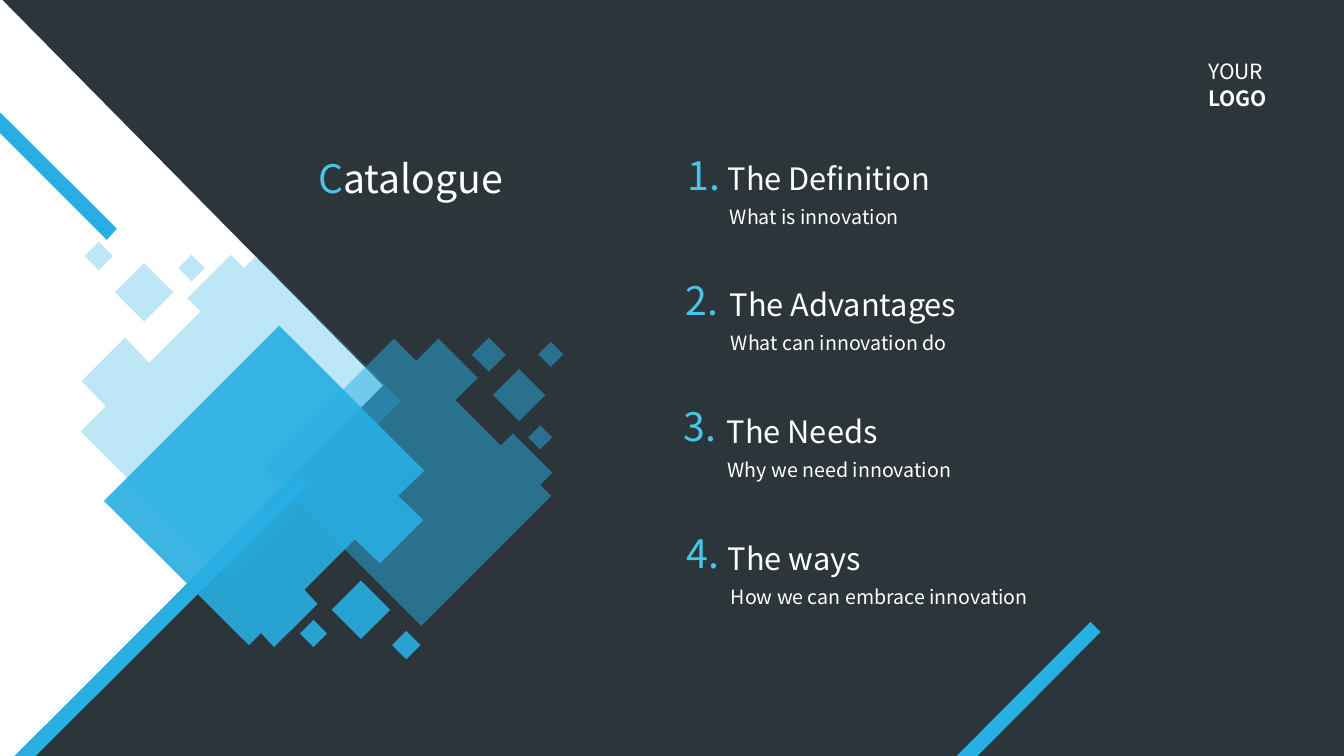
from pptx import Presentation
from pptx.dml.color import RGBColor
from pptx.enum.shapes import MSO_SHAPE as Kind
from pptx.enum.text import MSO_ANCHOR as Anchor, MSO_AUTO_SIZE as Fit
from pptx.util import Pt
from lxml.etree import SubElement

FONT = "Noto Sans CJK JP"
DARK, WHITE, BLUE, CYAN = "2C353A", "FFFFFF", "27AEE2", "47C5EA"

deck = Presentation()
deck.slide_width, deck.slide_height = Pt(960), Pt(540)
shapes = deck.slides.add_slide(deck.slide_layouts[6]).shapes


def paint(shape, color, alpha=100):
    shape.shadow.inherit = False
    shape.line.fill.background()
    shape.fill.solid()
    shape.fill.fore_color.rgb = RGBColor.from_string(color)
    if alpha < 100:
        tone = shape.fill._xPr.solidFill[0]
        SubElement(tone, tone.tag.replace("srgbClr", "alpha"), val=str(alpha * 1000))


def text(lines, x, y, w, h, size, anchor=Anchor.TOP, fit=Fit.SHAPE_TO_FIT_TEXT, lead=None):
    """Each line is a list of (words, color, bold) runs."""
    frame = shapes.add_textbox(Pt(x), Pt(y), Pt(w), Pt(h)).text_frame
    frame.margin_left = frame.margin_top = frame.margin_right = frame.margin_bottom = 0
    frame.word_wrap, frame.vertical_anchor, frame.auto_size = True, anchor, fit
    for i, line in enumerate(lines):
        para = frame.add_paragraph() if i else frame.paragraphs[0]
        if lead:
            para.line_spacing = Pt(lead)
        for words, color, bold in line:
            run = para.add_run()
            run.text = words
            run.font.name, run.font.size, run.font.bold = FONT, Pt(size), bold
            run.font.color.rgb = RGBColor.from_string(color)


# Dark ground
paint(shapes.add_shape(Kind.RECTANGLE, 0, 0, deck.slide_width, deck.slide_height), DARK)

# Shapes: color, opacity, outline, loose tiles as (center x, center y, radius)
wedge = (WHITE, 100, [(-95, -97.9), (273.5, 275.4), (-95, 648)], [])
bars = [
    (BLUE, 100, [(779, 444.2), (786.2, 451.4), (672.5, 565.9), (657.4, 565.9)], []),
    (BLUE, 100, [(-93.6, 1.4), (-93.6, -13), (83.5, 163.4), (76.3, 171.4)], []),
    (BLUE, 100, [(-95, 660.2), (-95, 645.1), (211, 339.8), (218.9, 347)], []),
]
blots = [
    (BLUE, 50,
     [(281.5, 241.9), (297.4, 257.8), (313.2, 241.9), (341.3, 270), (325.4, 285.8),
      (357.8, 318.2), (366.5, 309.6), (394.6, 337.7), (385.9, 346.3), (393.8, 354.2),
      (301, 447.1), (188.6, 334.8)],
     [(385.9, 312.5, 8.6), (370.8, 282.2, 18.7), (393.5, 253.1, 9), (349.2, 253.4, 12.2)]),
    (BLUE, 30,
     [(164.9, 182.2), (174.2, 191.5), (182.9, 182.9), (286.6, 286.6), (161.3, 411.8),
      (57.6, 308.2), (75.6, 290.2), (58.3, 272.2), (89.3, 241.2), (106.6, 259.2),
      (143.3, 222.5), (133.9, 213.1)],
     [(103, 208.8, 20.9), (136.8, 191.5, 9.4), (70.6, 182.9, 10.1)]),
    (BLUE, 90,
     [(199.4, 232.6), (303.1, 336.2), (284.4, 354.2), (302.4, 371.5), (271.4, 402.5),
      (253.4, 385.2), (217.4, 421.2), (226.8, 431.3), (195.8, 462.2), (186.5, 452.2),
      (177.8, 460.8), (74.2, 357.8)],
     [(290.2, 460.8, 10.1), (223.9, 452.5, 9.7), (257.8, 435.6, 20.9)]),
]
for color, alpha, edge, tiles in [wedge, *bars, *blots]:
    rings = [edge] + [[(x, y - r), (x + r, y), (x, y + r), (x - r, y)] for x, y, r in tiles]
    rings = [[(Pt(x), Pt(y)) for x, y in ring] for ring in rings]
    pen = shapes.build_freeform(*rings[0][0])
    for i, ring in enumerate(rings):
        if i:
            pen.move_to(*ring[0])
        pen.add_line_segments(ring[1:], close=True)
    paint(pen.convert_to_shape(), color, alpha)

# Title
text([[("C", CYAN, False), ("atalogue", WHITE, False)]],
     227.5, 110.2, 160.6, 33.8, 28, anchor=Anchor.MIDDLE)

# Contents: number x and y, heading x and y, note x
items = [
    ("The Definition", "What is innovation", 491, 108, 519.8, 113.8, 521.3),
    ("The Advantages", "What can innovation do", 489.6, 197.3, 521.3, 203.8, 522),
    ("The Needs", "Why we need innovation", 488.2, 287.3, 519.1, 294.5, 519.8),
    ("The ways", "How we can embrace innovation", 490.3, 378, 519.8, 385.2, 522),
]
for i, (head, note, num_x, num_y, head_x, head_y, note_x) in enumerate(items, 1):
    text([[(f"{i}.", CYAN, False)]], num_x, num_y, 30.2, 33.8, 28, anchor=Anchor.MIDDLE)
    text([[(head, WHITE, False)]], head_x, head_y, 171.4, 26.6, 22)
    text([[(note, WHITE, False)]], note_x, head_y + 32.4, 236.2, 17.3, 14)

# Corner words
text([[("YOUR", WHITE, False)], [("LOGO", WHITE, True)]],
     863, 40.2, 60, 39, 15, fit=Fit.NONE, lead=19.5)

deck.save("out.pptx")
